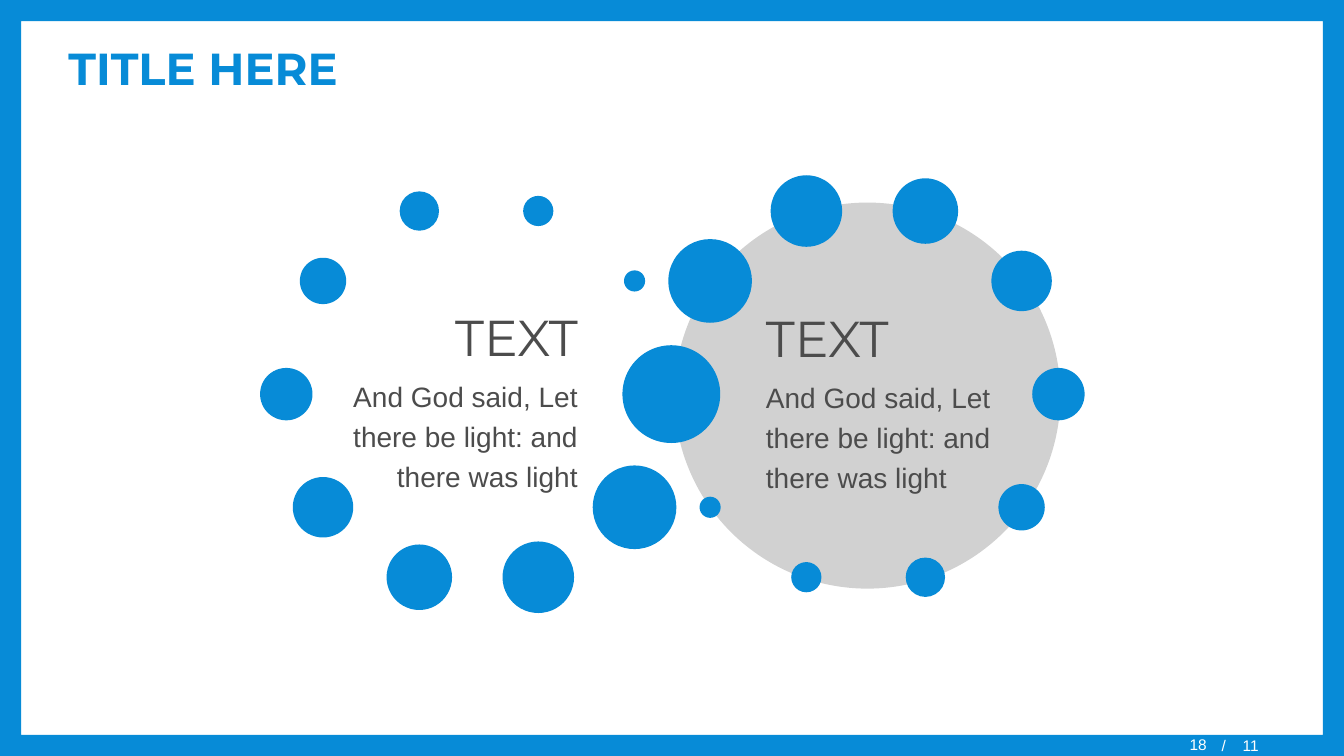
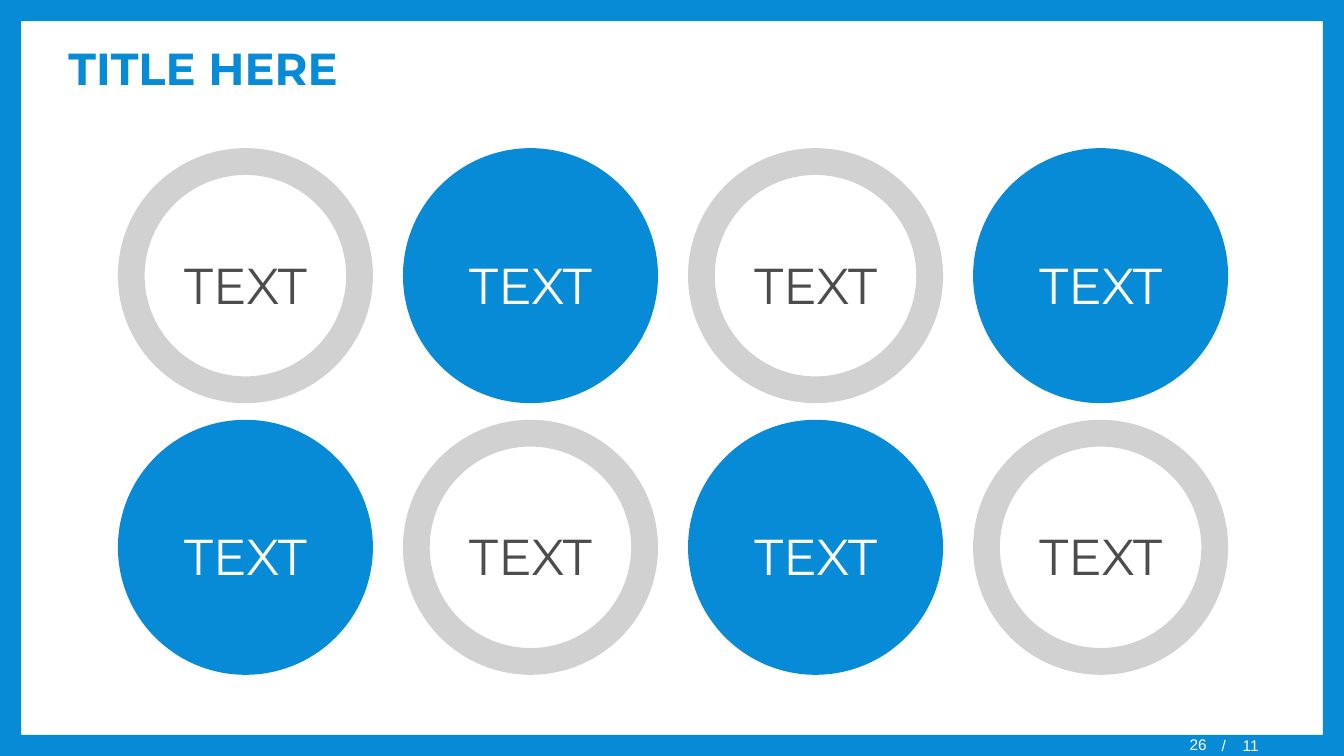
import math
from dataclasses import dataclass

from lxml import etree
from pptx import Presentation
from pptx import util as u
from pptx.dml.color import RGBColor
from pptx.enum import shapes, text
from pptx.oxml.ns import qn

BLUE = RGBColor(0x07, 0x8B, 0xD7)
GREY = RGBColor(0xD1, 0xD1, 0xD1)
INK = RGBColor(0x4C, 0x4C, 0x4C)
WHITE = RGBColor(0xFF, 0xFF, 0xFF)

# The slide is a grid of square cells; every length below counts cells
CELL = u.Inches(0.1)
COLUMNS, ROWS = 133.33, 75

SHAPE = shapes.MSO_SHAPE
LEFT, CENTER, RIGHT = text.PP_ALIGN.LEFT, text.PP_ALIGN.CENTER, text.PP_ALIGN.RIGHT

TITLE = {"name": "Montserrat", "size": u.Pt(32), "bold": True}
HEADING = {"name": "Montserrat", "size": u.Pt(36)}
BODY = {"name": "Arial", "size": u.Pt(20)}
FOOTER = {"name": "Arial", "size": u.Pt(11)}
LOOSE = {"line_spacing": 1.2, "space_after": u.Pt(2)}


@dataclass(frozen=True)
class Box:
    col: float
    row: float
    cols: float
    rows: float

    def emu(self) -> list[int]:
        return [round(n * CELL) for n in (self.col, self.row, self.cols, self.rows)]


@dataclass(frozen=True)
class Line:
    words: str
    font: dict
    color: RGBColor


@dataclass(frozen=True)
class Ring:
    center_col: float
    start_angle: int
    diameters: tuple
    heading_box: Box
    align: text.PP_ALIGN


def add_figure(slide, kind, box: Box, color: RGBColor, adjustment: float | None = None):
    figure = slide.shapes.add_shape(kind, *box.emu())
    figure.shadow.inherit = False
    figure.fill.solid()
    figure.fill.fore_color.rgb = color
    figure.line.fill.background()
    if adjustment is not None:
        figure.adjustments[0] = adjustment


def add_disc(slide, col: float, row: float, diameter: float, color: RGBColor):
    corner = Box(col - diameter / 2, row - diameter / 2, diameter, diameter)
    add_figure(slide, SHAPE.OVAL, corner, color)


def add_words(slide, box: Box, lines: list[Line], align=LEFT, spacing: dict | None = None):
    frame = slide.shapes.add_textbox(*box.emu()).text_frame
    frame.word_wrap = True
    if spacing:
        frame.auto_size = text.MSO_AUTO_SIZE.SHAPE_TO_FIT_TEXT
    else:
        frame.vertical_anchor = text.MSO_ANCHOR.MIDDLE
    for index, line in enumerate(lines):
        paragraph = frame.add_paragraph() if index else frame.paragraphs[0]
        paragraph.alignment = align
        for name, value in (spacing or {}).items():
            setattr(paragraph, name, value)
        if index:
            paragraph.space_before = u.Pt(2)
        run = paragraph.add_run()
        run.text = line.words
        for name, value in line.font.items():
            setattr(run.font, name, value)
        run.font.color.rgb = line.color
    return frame


def add_tab_stop(paragraph, position: float):
    stops = etree.SubElement(paragraph._p.get_or_add_pPr(), qn("a:tabLst"))
    etree.SubElement(stops, qn("a:tab"), pos=str(round(position * CELL)), algn="l")


# Parts that every slide shares
def add_slide(deck):
    slide = deck.slides.add_slide(deck.slide_layouts[6])
    add_figure(slide, SHAPE.FRAME, Box(0, 0, COLUMNS, ROWS), BLUE, 0.028)
    add_words(slide, Box(5.8, 2.8, 121.8, 7.9), [Line("TITLE HERE", TITLE, BLUE)])
    return slide


def add_footer(slide, number: str):
    total = add_words(slide, Box(120.2, 73, 13.1, 1.8), [Line("/\t11", FOOTER, WHITE)])
    add_tab_stop(total.paragraphs[0], 2.1)
    page = add_words(slide, Box(94.8, 73.2, 25.9, 1.8),
                     [Line(number, FOOTER, WHITE)], RIGHT)
    page.margin_top = 0


# Two rings of dots that meet in the largest dot
RING_ROW, RING_RADIUS, RING_STEPS = 39.1, 19.1, 10
SHRINKING = (5.2, 4.6, 3.9, 3, 2.1)
GROWING = (8.3, 7.1, 6.5, 6)
RINGS = (
    Ring(47.5, 180, SHRINKING + (9.7,) + GROWING, Box(33.4, 28.7, 24.9, 21), RIGHT),
    Ring(85.9, 0, SHRINKING + (0,) + GROWING, Box(75, 28.8, 24.9, 21), LEFT),
)
VERSE = "And God said, Let there be light: and there was light"


def add_ring(slide, ring: Ring):
    for step, diameter in enumerate(ring.diameters):
        angle = math.radians(ring.start_angle + step * 360 / RING_STEPS)
        if diameter:
            add_disc(slide, ring.center_col + RING_RADIUS * math.cos(angle),
                     RING_ROW + RING_RADIUS * math.sin(angle), diameter, BLUE)


def build_rings(deck):
    slide = add_slide(deck)
    add_disc(slide, 86.05, 39.25, 38.3, GREY)
    for ring in RINGS:
        add_ring(slide, ring)
    for ring in RINGS:
        add_words(slide, ring.heading_box,
                  [Line("TEXT", HEADING, INK), Line(VERSE, BODY, INK)], ring.align, LOOSE)
    add_footer(slide, "18")


# Checkerboard of donuts and discs
BOARD = Box(11.7, 14.7, 4, 2)
PITCH_COL, PITCH_ROW, DIAMETER = 28.28, 26.95, 25.3


def build_board(deck):
    slide = add_slide(deck)
    for row in range(BOARD.rows):
        for col in range(BOARD.cols):
            left, top = BOARD.col + col * PITCH_COL, BOARD.row + row * PITCH_ROW
            place = Box(left, top, DIAMETER, DIAMETER)
            is_disc = (row + col) % 2 == 1
            if is_disc:
                add_figure(slide, SHAPE.OVAL, place, BLUE)
            else:
                add_figure(slide, SHAPE.DONUT, place, GREY, 0.105)
            label = Line("TEXT", HEADING, WHITE if is_disc else INK)
            add_words(slide, Box(left + 4.25, top + 8.8, 16.8, 8), [label], CENTER, LOOSE)
    add_footer(slide, "26")


def main():
    deck = Presentation()
    deck.slide_width, deck.slide_height = round(COLUMNS * CELL), ROWS * CELL
    build_rings(deck)
    build_board(deck)
    deck.save("out.pptx")


if __name__ == "__main__":
    main()
